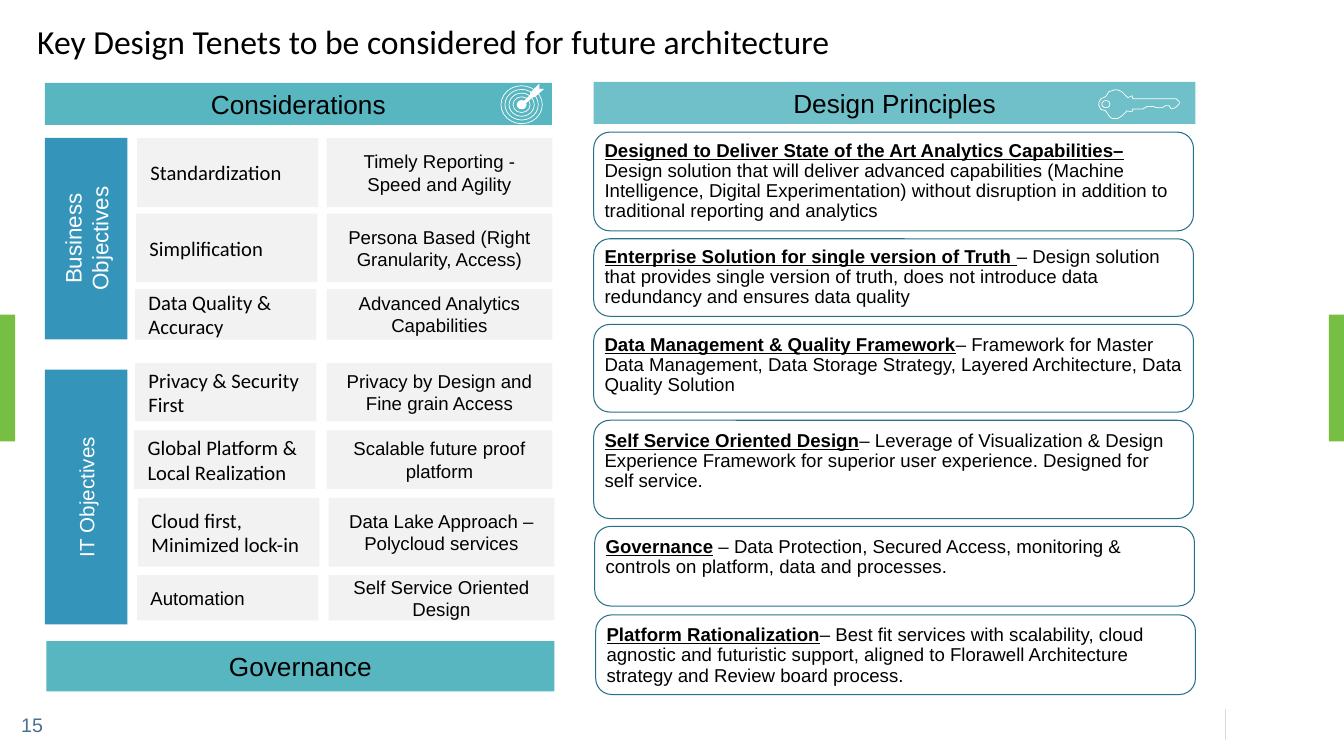
from dataclasses import dataclass

import pptx
import pptx.dml.color
import pptx.enum.shapes
import pptx.enum.text
import pptx.oxml.ns
import pptx.util
from lxml import etree

Pt = pptx.util.Pt
RGBColor = pptx.dml.color.RGBColor
SHAPE = pptx.enum.shapes.MSO_SHAPE
ALIGN = pptx.enum.text.PP_ALIGN
ANCHOR = pptx.enum.text.MSO_ANCHOR
qn = pptx.oxml.ns.qn

BLACK = RGBColor(0x00, 0x00, 0x00)
WHITE = RGBColor(0xFF, 0xFF, 0xFF)
TEAL = RGBColor(0x58, 0xB6, 0xC0)
BLUE = RGBColor(0x34, 0x94, 0xBA)
OUTLINE = RGBColor(0x27, 0x6F, 0x8B)
GREY = RGBColor(0xF2, 0xF2, 0xF2)
RULE = RGBColor(0xD9, 0xD9, 0xD9)
GREEN = RGBColor(0x77, 0xBF, 0x43)
NUMBER = RGBColor(0x4A, 0x70, 0x90)

CARD_RADIUS = 11.5


@dataclass
class Objective:
    top: float
    height: float
    left: float
    goal: str
    right: float
    approach: str
    size: float = 14.7
    font: str = "Calibri"


@dataclass
class Principle:
    left: float
    top: float
    height: float
    heading: str
    body: str
    anchor: int = ANCHOR.TOP


@dataclass
class Side:
    top: float
    height: float
    text: str
    size: float


OBJECTIVES = [
    Objective(98.6, 49.4, 97.9, "Standardization", 233.3, "Timely Reporting - Speed and Agility"),
    Objective(152.6, 49, 97.2, "Simplification", 233.3, "Persona Based (Right Granularity, Access)"),
    Objective(206.6, 36, 96.5, "Data Quality & Accuracy", 233.3, "Advanced Analytics Capabilities"),
    Objective(259.2, 41.8, 96.5, "Privacy & Security First", 233.3, "Privacy by Design and Fine grain Access"),
    Objective(307.4, 41.8, 95.8, "Global Platform & Local Realization", 233.3, "Scalable future proof platform"),
    Objective(355.7, 49, 98.6, "Cloud first, Minimized lock-in", 234.7, "Data Lake Approach – Polycloud services"),
    Objective(410.8, 32.4, 97.9, "Automation", 234.7, "Self Service Oriented Design", 13.3, "Arial"),
]

SIDES = [
    Side(98.4, 144, "Business Objectives", 16),
    Side(264, 182, "IT Objectives", 14.7),
]

PRINCIPLES = [
    Principle(424.1, 94.4, 70.5, "Designed to Deliver State of the Art Analytics Capabilities–",
              " Design solution that will deliver advanced capabilities (Machine Intelligence, Digital "
              "Experimentation) without disruption in addition to traditional reporting and analytics",
              ANCHOR.MIDDLE),
    Principle(424.1, 170.6, 55.4, "Enterprise Solution for single version of Truth ",
              "– Design solution that provides single version of truth, does not introduce data "
              "redundancy and ensures data quality", ANCHOR.MIDDLE),
    Principle(424.1, 231.8, 62.6, "Data Management & Quality Framework",
              "– Framework for Master Data Management, Data Storage Strategy, Layered Architecture, "
              "Data Quality Solution"),
    Principle(424.1, 300.2, 70.2, "Self Service Oriented Design",
              "– Leverage of Visualization & Design Experience Framework for superior user experience. "
              "Designed for self service."),
    Principle(424.8, 376, 56.9, "Governance",
              " – Data Protection, Secured Access, monitoring & controls on platform, data and processes."),
    Principle(425.5, 439.2, 56.9, "Platform Rationalization",
              "– Best fit services with scalability, cloud agnostic and futuristic support, aligned to "
              "Florawell Architecture strategy and Review board process."),
]

KEY = [(796.3, 64.1), (798.5, 64.3), (801.4, 65.5), (803.5, 67.7), (805.7, 69.8), (808.6, 68.4),
       (809.3, 70.6), (840.2, 70.6), (842.4, 72.7), (842.4, 74.2), (839.5, 77), (836.6, 77.8),
       (835.2, 75.6), (832.3, 75.6), (830.2, 77), (826.6, 77), (823.7, 76.1), (819.4, 76.1),
       (816.5, 77.8), (809.3, 77.8), (808.6, 79.9), (805, 79.2), (801.4, 82.8), (798.5, 84.6),
       (794.5, 84.6), (792.7, 83.5), (789.8, 79.2), (786.2, 78), (784.8, 74.9), (785.2, 72.5),
       (786.6, 70.4), (789.8, 69.1), (792, 65.6)]
DART = [(385.2, 59.8), (385.2, 63.4), (388.8, 63.4), (382.3, 69.1), (380.2, 69.8),
        (374.4, 74.9), (373, 73.4), (378.7, 67.7), (378.7, 66.2)]


def paint(sp, fill: RGBColor | None = None, line: RGBColor | None = None, width: float = 0.75):
    sp.shadow.inherit = False
    if fill is None:
        sp.fill.background()
    else:
        sp.fill.solid()
        sp.fill.fore_color.rgb = fill
    if line is None:
        sp.line.fill.background()
    else:
        sp.line.color.rgb = line
        sp.line.width = Pt(width)
    return sp


def add_box(s, x: float, y: float, w: float, h: float, kind=SHAPE.RECTANGLE, **colors):
    return paint(s.shapes.add_shape(kind, Pt(x), Pt(y), Pt(w), Pt(h)), **colors)


def add_outline(s, points: list, **colors):
    corners = [(Pt(x), Pt(y)) for x, y in points]
    builder = s.shapes.build_freeform(*corners[0], scale=1.0)
    builder.add_line_segments(corners[1:], close=True)
    return paint(builder.convert_to_shape(), **colors)


def set_frame(sp, anchor=ANCHOR.MIDDLE, inset_x: float = 9.6, inset_y: float = 9.6, wrap: bool = True):
    tf = sp.text_frame
    tf.auto_size = pptx.enum.text.MSO_AUTO_SIZE.NONE
    tf.word_wrap = wrap
    tf.vertical_anchor = anchor
    tf.margin_left = tf.margin_right = Pt(inset_x)
    tf.margin_top = tf.margin_bottom = Pt(inset_y)
    return tf


def add_text(tf, text: str, size: float = 13.3, font: str = "Arial", color: RGBColor = BLACK,
             align=ALIGN.LEFT, heading: bool = False, spacing: float = 1.0):
    p = tf.paragraphs[0]
    p.alignment = align
    p.line_spacing = spacing
    r = p.add_run()
    r.text = text
    r.font.size = Pt(size)
    r.font.name = font
    r.font.color.rgb = color
    r.font.bold = r.font.underline = heading


def add_banner(s, x: float, y: float, w: float, h: float, text: str):
    sp = add_box(s, x, y, w, h, fill=TEAL)
    add_text(set_frame(sp, inset_y=3.6), text, size=18.7, align=ALIGN.CENTER)
    return sp


def add_objective(s, row: Objective):
    goal = add_box(s, row.left, row.top, 129.6, row.height, fill=GREY)
    add_text(set_frame(goal), row.goal, size=row.size, font=row.font)
    approach = add_box(s, row.right, row.top, 161.3, row.height, fill=GREY)
    add_text(set_frame(approach), row.approach, align=ALIGN.CENTER)


def add_side(s, side: Side):
    # Rotation turns the box about its centre, so width and height swap
    width = 59
    x = 32 + (width - side.height) / 2
    y = side.top + (side.height - width) / 2
    sp = add_box(s, x, y, side.height, width, fill=BLUE)
    sp.rotation = 270
    add_text(set_frame(sp, inset_x=7.2, inset_y=3.6), side.text, size=side.size, color=WHITE, align=ALIGN.CENTER)


def add_principle(s, card: Principle):
    sp = add_box(s, card.left, card.top, 428.4, card.height, SHAPE.ROUNDED_RECTANGLE, fill=WHITE, line=OUTLINE)
    sp.adjustments[0] = CARD_RADIUS / card.height
    tf = set_frame(sp, card.anchor, inset_x=4.4, inset_y=4.4)
    add_text(tf, card.heading, heading=True, spacing=0.9)
    add_text(tf, card.body, spacing=0.9)


def main():
    prs = pptx.Presentation()
    prs.slide_width, prs.slide_height = Pt(960), Pt(540)
    s = prs.slides.add_slide(prs.slide_layouts[5])

    # Title, edge marks and page number
    title = s.shapes.title
    title.left, title.top, title.width, title.height = Pt(19.4), Pt(14.4), Pt(921.6), Pt(33.1)
    add_text(set_frame(title, inset_x=7.2, inset_y=3.6),
             "Key Design Tenets to be considered for future architecture", size=24, font="Calibri", spacing=0.9)
    for x in (0, 949.2):
        add_box(s, x, 224.8, 10.8, 90.5, fill=GREEN)
    rule = s.shapes.add_connector(pptx.enum.shapes.MSO_CONNECTOR.STRAIGHT, Pt(875.5), Pt(506.2), Pt(875.5), Pt(528.5))
    rule.line.color.rgb = RULE
    rule.line.width = Pt(0.75)
    etree.SubElement(rule._element.spPr, qn("a:effectLst"))
    number = s.shapes.add_textbox(Pt(15.1), Pt(509), Pt(17.3), Pt(17.3))
    add_text(set_frame(number, inset_x=0, inset_y=0, wrap=False), "15", size=14, color=NUMBER)

    # Considerations
    add_banner(s, 32, 59.2, 362.2, 30, "Considerations")
    for ring in range(5):
        w = 29.5 - 5.75 * ring
        h = 0.92 * w
        add_box(s, 372.6 - w / 2, 74.8 - h / 2, w, h, SHAPE.OVAL,
                fill=WHITE if ring == 4 else None, line=WHITE, width=0.5)
    add_outline(s, DART, fill=WHITE)
    for side in SIDES:
        add_side(s, side)
    for row in OBJECTIVES:
        add_objective(s, row)
    add_banner(s, 33.1, 457.9, 362.9, 36, "Governance")

    # Design principles
    banner = add_banner(s, 424.1, 58.6, 429.8, 30, "Design Principles")
    color = banner._element.spPr.find(qn("a:solidFill"))[0]
    etree.SubElement(color, qn("a:alpha"), val="85000")
    add_outline(s, KEY, line=WHITE, width=0.5)
    add_box(s, 787, 71.8, 5.8, 5.2, SHAPE.OVAL, line=WHITE, width=0.5)
    for card in PRINCIPLES:
        add_principle(s, card)

    prs.save("out.pptx")


if __name__ == "__main__":
    main()
